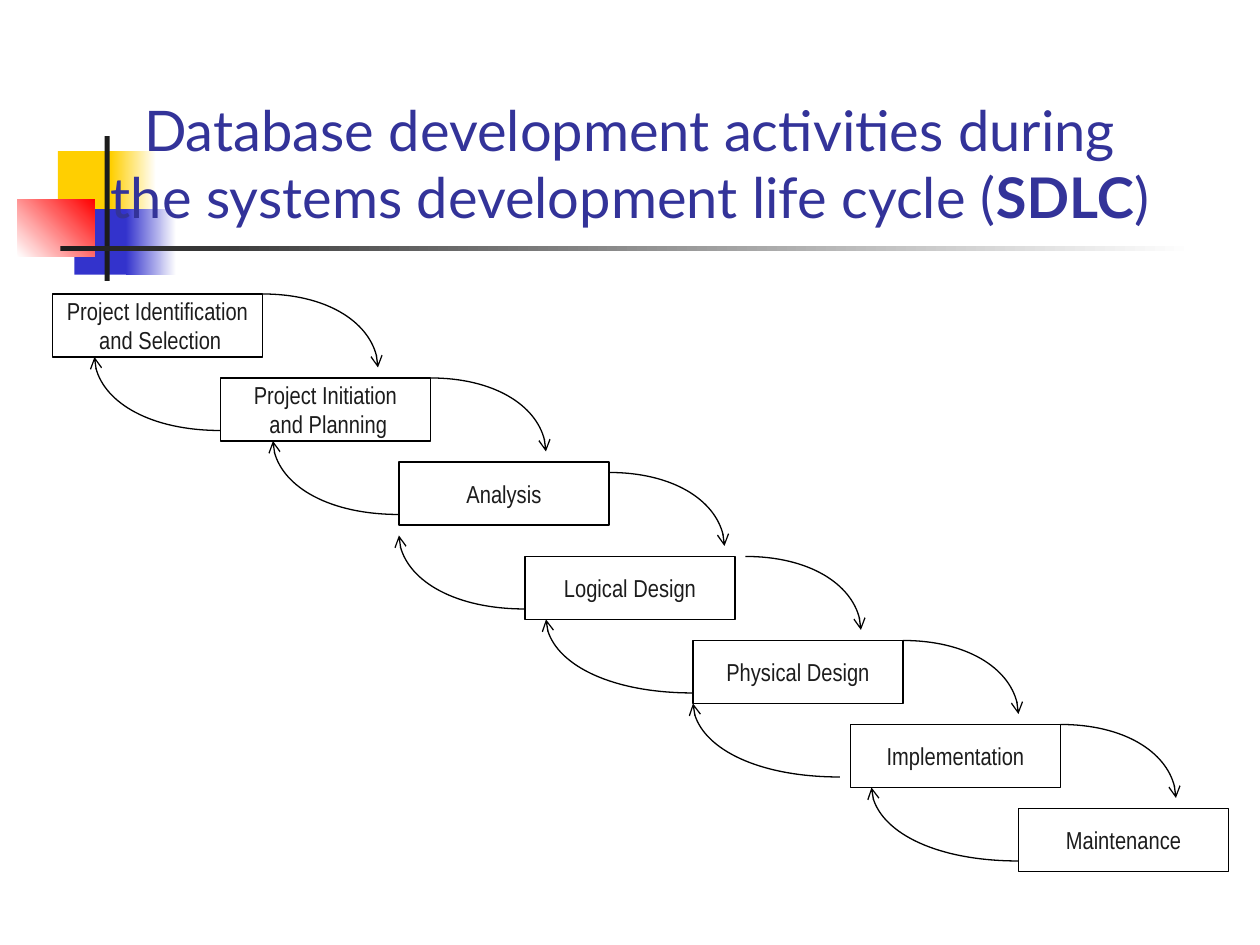
from dataclasses import dataclass

from lxml.etree import SubElement
from pptx import Presentation
from pptx.dml.color import RGBColor
from pptx.enum.shapes import MSO_SHAPE
from pptx.enum.text import MSO_ANCHOR, MSO_AUTO_SIZE, PP_ALIGN
from pptx.oxml.ns import qn
from pptx.util import Inches, Pt


@dataclass
class Theme:
    white: str = "FFFFFF"
    black: str = "000000"
    ink: str = "1C1C1C"
    title: str = "333399"
    yellow: str = "FFCF01"
    blue: str = "3333CC"
    red: str = "FF0000"
    title_font: str = "Lato"
    body_font: str = "Arial Narrow"
    title_size: int = 32
    body_size: int = 14
    line: float = 0.75


T = Theme()
rgb = RGBColor.from_string
U = Inches(1) // 12  # grid unit: 120 columns by 90 rows


def add_run(p, text, font, size, color, bold=False):
    r = p.add_run()
    r.text = text
    r.font.name, r.font.size, r.font.bold = font, Pt(size), bold
    r.font.color.rgb = rgb(color)


def add_curve(s, x, y, dx, dy):
    """Quarter ellipse that leaves (x, y) sideways and ends in an arrowhead."""
    fb = s.shapes.build_freeform(x * U, y * U)
    fb.add_line_segments([((x + dx) * U, (y + dy) * U)], close=False)
    sp = fb.convert_to_shape()
    sp.shadow.inherit = False
    sp.fill.background()
    sp.line.color.rgb = rgb(T.black)
    sp.line.width = Pt(T.line)
    SubElement(sp.element.spPr.find(qn("a:ln")), qn("a:tailEnd"), type="arrow")
    # Bend the straight segment into one Bezier curve
    seg = next(sp.element.iter(qn("a:lnTo")))
    outline = seg.getparent()
    outline.remove(seg)
    bend = SubElement(outline, qn("a:cubicBezTo"))
    x0, y0 = max(-dx, 0), max(-dy, 0)
    for fx, fy in [(0.55, 0), (1, 0.45), (1, 1)]:
        SubElement(bend, qn("a:pt"), x=str(round((x0 + fx * dx) * U)),
                   y=str(round((y0 + fy * dy) * U)))


prs = Presentation()
prs.slide_width, prs.slide_height = Inches(10), Inches(7.5)
s = prs.slides.add_slide(prs.slide_layouts[5])

# Corner ornament: box in inches, one or two colours, gradient angle
ornament = [
    (0.46, 1.2, 0.48, 0.52, [T.yellow], 0),
    (0.88, 1.2, 0.36, 0.52, [T.yellow, T.white], 0),
    (0.59, 1.66, 0.46, 0.52, [T.blue], 0),
    (1, 1.66, 0.4, 0.52, [T.blue, T.white], 0),
    (0.14, 1.58, 0.61, 0.46, [T.white, T.red], 45),
    (0.83, 1.08, 0.04, 1.15, [T.ink], 0),
    (0.48, 1.95, 9, 0.04, [T.ink, T.white], 0),
]
for *box, colors, angle in ornament:
    sp = s.shapes.add_shape(MSO_SHAPE.RECTANGLE, *map(Inches, box))
    sp.shadow.inherit = False
    sp.line.fill.background()
    if len(colors) == 1:
        sp.fill.solid()
        sp.fill.fore_color.rgb = rgb(colors[0])
    else:
        sp.fill.gradient()
        sp.fill.gradient_angle = angle
        for stop, color in zip(sp.fill.gradient_stops, colors):
            stop.color.rgb = rgb(color)

# Title, brought in front of the ornament
title = s.shapes.title
title.element.getparent().append(title.element)
title.left, title.top, title.width, title.height = 9 * U, 8 * U, 102 * U, 15 * U
tf = title.text_frame
tf.word_wrap, tf.auto_size = True, MSO_AUTO_SIZE.NONE
tf.vertical_anchor = MSO_ANCHOR.MIDDLE
p = tf.paragraphs[0]
p.alignment = PP_ALIGN.CENTER
for text, bold in [
    ("Database development activities during the systems development life cycle (", False),
    ("SDLC", True),
    (")", False),
]:
    add_run(p, text, T.title_font, T.title_size, T.title, bold)

# Phases: lines, column, row, shift of the forward curve,
# shift of the back curve, reach of the back curve
BOX_W, BOX_H = 20, 6
phases = [
    (["Project Identification", " and Selection"], 5, 28, (0, 0), 0, 0),
    (["Project Initiation", " and Planning"], 21, 36, (0, 0), 0, 12),
    (["Analysis"], 38, 44, (0, 1), 0, 12),
    (["Logical Design"], 50, 53, (1, 0), 0, 12),
    (["Physical Design"], 66, 61, (0, 0), 0, 14),
    (["Implementation"], 81, 69, (0, 0), -1, 14),
    (["Maintenance"], 97, 77, (0, 0), 0, 14),
]
for i, (lines, col, row, (right, down), back, reach) in enumerate(phases):
    sp = s.shapes.add_shape(MSO_SHAPE.RECTANGLE, col * U, row * U, BOX_W * U, BOX_H * U)
    sp.shadow.inherit = False
    sp.fill.solid()
    sp.fill.fore_color.rgb = rgb(T.white)
    sp.line.color.rgb = rgb(T.black)
    sp.line.width = Pt(T.line)
    tf = sp.text_frame
    tf.word_wrap = False
    tf.vertical_anchor = MSO_ANCHOR.MIDDLE
    for n, text in enumerate(lines):
        p = tf.add_paragraph() if n else tf.paragraphs[0]
        p.alignment = PP_ALIGN.CENTER
        add_run(p, text, T.body_font, T.body_size, T.ink)
    # Curves to the next phase and back to the previous one
    if i < len(phases) - 1:
        add_curve(s, col + BOX_W + right, row + down, 11, 7)
    if i:
        add_curve(s, col + back, row + 5, -reach, -7)

prs.save("out.pptx")
